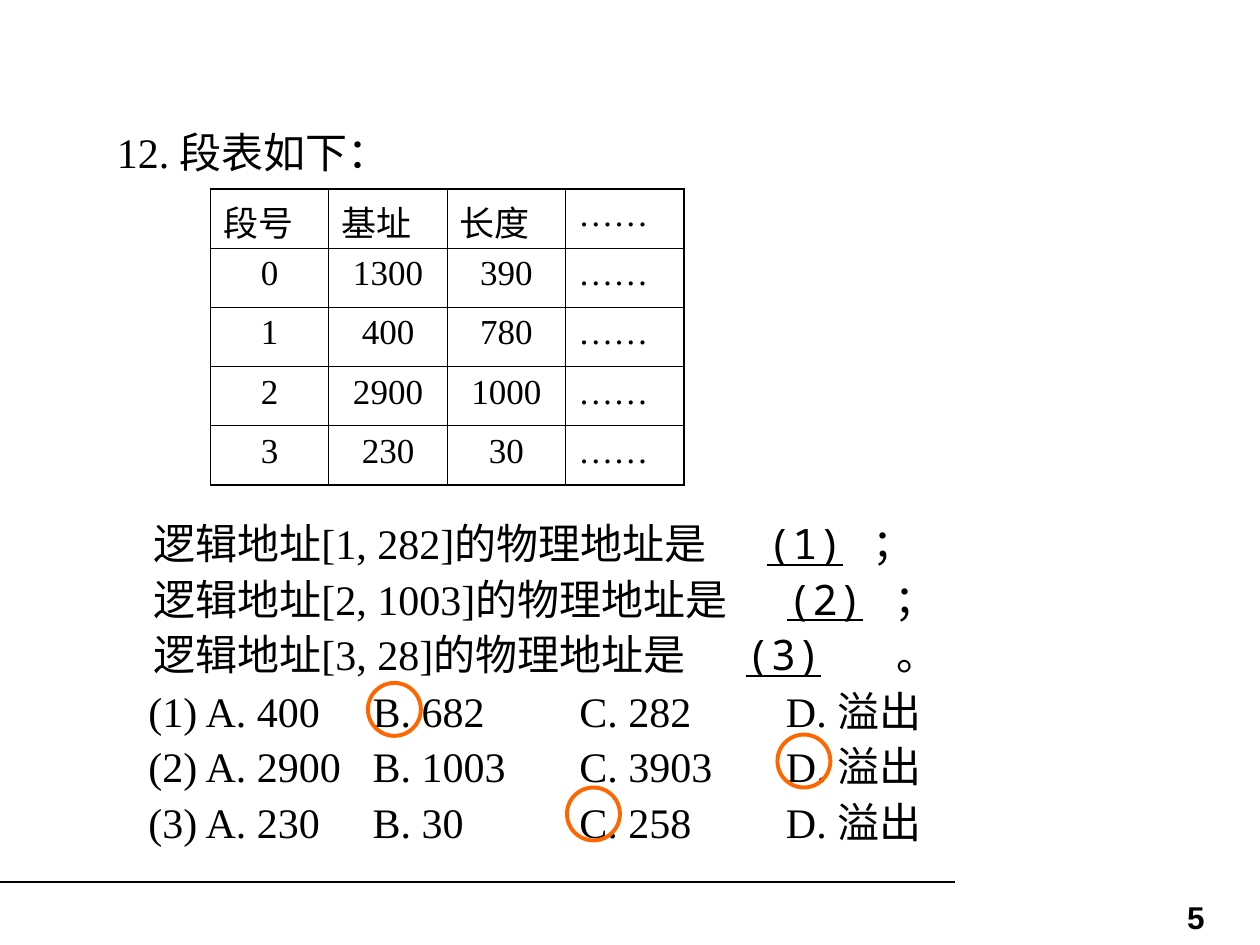
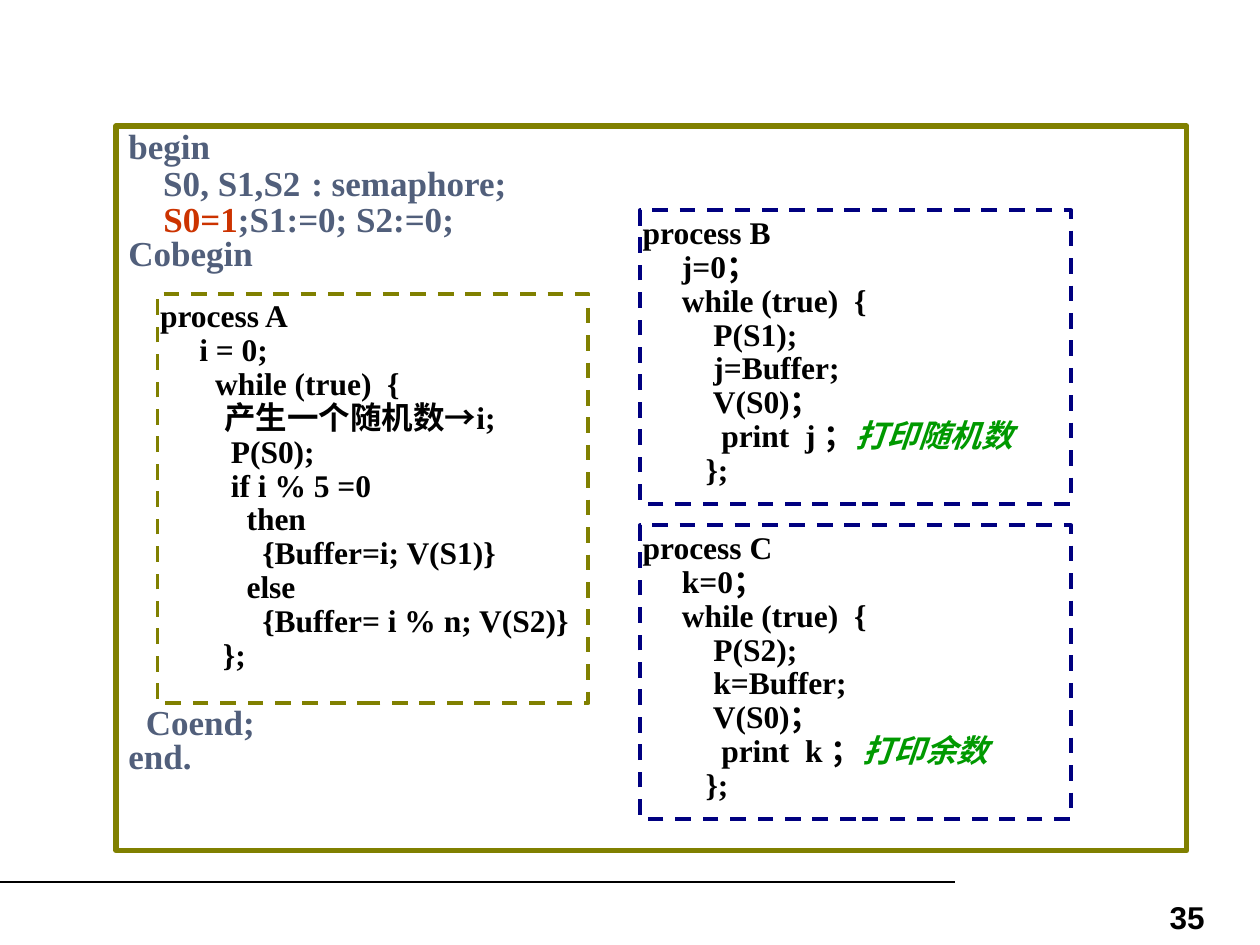
from lxml.etree import SubElement
from pptx import Presentation
from pptx.dml.color import RGBColor
from pptx.enum.dml import MSO_LINE
from pptx.enum.shapes import MSO_CONNECTOR, MSO_SHAPE
from pptx.enum.text import MSO_ANCHOR, PP_ALIGN
from pptx.oxml.ns import qn
from pptx.util import Inches, Pt


class Theme:
    black, slate, red = "000000", "515F7B", "CC3300"
    green, olive, navy, orange = "009900", "808000", "000080", "FF6600"
    serif, mono, sans = "Times New Roman", "Noto Sans Mono", "Arial"
    quiz = dict(name=serif, size=24, color=black)
    cell = dict(name=serif, size=20, color=black)
    frame = dict(name=serif, size=20, color=slate, bold=True)
    code = dict(name=serif, size=18, color=black, bold=True)
    page = dict(name=sans, size=18, color=black, bold=True)
    thin, thick = 0.45, 1.08


# Segment table slide
HEAD = "12. 段表如下："
DOTS = "……"
SEGS = [
    ("段号", "基址", "长度", DOTS),
    ("0", "1300", "390", DOTS),
    ("1", "400", "780", DOTS),
    ("2", "2900", "1000", DOTS),
    ("3", "230", "30", DOTS),
]
# address, blank number, closing mark, tab stops of the blank
ASKS = [
    ("[1, 282]", "(1)", "；", (4.87, 5.71)),
    ("[2, 1003]", "(2)", "；", (5.03, 5.88)),
    ("[3, 28]", "(3)", "。", (4.7, 5.9)),
]
PICKS = [
    ("(1) A. 400", "B. 682", "C. 282", "D. 溢出"),
    ("(2) A. 2900", "B. 1003", "C. 3903", "D. 溢出"),
    ("(3) A. 230", "B. 30", "C. 258", "D. 溢出"),
]
PICK_TABS = (1.78, 3.42, 5.06)
RINGS = [(2.92, 5.42), (6.17, 5.83), (4.5, 6.25)]

# Semaphore slide
OPEN = [
    ["begin"],
    ["    S0, S1,S2", (" ", dict(size=24, bold=False)), ": semaphore;"],
    ["    ", ("S0=1", dict(color=Theme.red)), ";S1:=0; S2:=0;"],
    ["Cobegin"],
    ["  Coend;"],
    ["end."],
]
OPEN_GAPS = (0, 3, 0, 0, 249, 0)
MAKER = [
    ["process A"],
    ["     i = 0;"],
    ["       while (true)  {"],
    ["         产生一个随机数→i;"],
    ["         P(S0);"],
    ["         if i % 5 =0"],
    ["           then"],
    ["             {Buffer=i; V(S1)}"],
    ["           else"],
    ["             {Buffer= i % n; V(S2)}"],
    ["        };"],
]
# process, variable, semaphore, remark, top
USERS = [
    ("B", "j", "S1", "打印随机数", 1.67),
    ("C", "k", "S2", "打印余数", 4.17),
]


def user(name, var, sem, note):
    """Code lines of a process that reads the buffer."""
    return [
        [f"process {name}"],
        [f"     {var}=0；"],
        ["     while (true)  {"],
        [f"         P({sem});"],
        [f"         {var}=Buffer;"],
        ["         V(S0)；"],
        [f"          print  {var} ；", (note, dict(color=Theme.green, italic=True))],
        ["        };"],
    ]


def style(font, fmt):
    for key, val in fmt.items():
        if key == "color":
            font.color.rgb = RGBColor.from_string(val)
        else:
            setattr(font, key, Pt(val) if key == "size" else val)


def stops(para, tabs):
    box = SubElement(para._p.get_or_add_pPr(), qn("a:tabLst"))
    for pos in tabs:
        SubElement(box, qn("a:tab"), pos=str(Inches(pos)), algn="l")


def write(frame, lines, fmt, lead=None, gaps=None, tabs=None, align=PP_ALIGN.LEFT):
    """Fill a frame; a line is a list of strings or (string, format) pairs."""
    for i, line in enumerate(lines):
        para = frame.paragraphs[0] if i == 0 else frame.add_paragraph()
        para.alignment = align
        if lead:
            para.line_spacing = Pt(lead)
        if gaps and gaps[i]:
            para.space_before = Pt(gaps[i])
        if tabs:
            stops(para, tabs[i])
        for part in line:
            text, more = (part, {}) if isinstance(part, str) else part
            run = para.add_run()
            run.text = text
            style(run.font, {**fmt, **more})


def ready(frame, side=0.1):
    props = dict(
        word_wrap=True,
        vertical_anchor=MSO_ANCHOR.TOP,
        margin_left=Inches(side),
        margin_right=Inches(side),
        margin_top=Inches(0.05),
        margin_bottom=Inches(0.05),
    )
    for key, val in props.items():
        setattr(frame, key, val)
    return frame


def label(slide, at, lines, fmt, **how):
    box = slide.shapes.add_textbox(*map(Inches, at))
    write(ready(box.text_frame), lines, fmt, **how)


def shape(slide, kind, at, color, width, dash=None):
    item = slide.shapes.add_shape(kind, *map(Inches, at))
    item.shadow.inherit = False
    item.fill.background()
    item.line.color.rgb = RGBColor.from_string(color)
    item.line.width = Pt(width)
    if dash:
        item.line.dash_style = dash
    return item


def panel(slide, at, color, lines):
    box = shape(slide, MSO_SHAPE.RECTANGLE, at, color, 2.25, MSO_LINE.DASH)
    write(ready(box.text_frame, 0.02), lines, Theme.code, lead=19.4)


def border(cell, sides):
    props = cell._tc.get_or_add_tcPr()
    for i, (side, width) in enumerate(sides.items()):
        line = SubElement(props, qn(f"a:ln{side}"), w=str(Pt(width)))
        fill = SubElement(line, qn("a:solidFill"))
        SubElement(fill, qn("a:srgbClr"), val=Theme.black)
        props.insert(i, line)


def grid(slide, rows, left, top, wide, high):
    tall, span = len(rows), len(rows[0])
    size = (left, top, wide * span, high * tall)
    table = slide.shapes.add_table(tall, span, *map(Inches, size)).table
    table.first_row = table.horz_banding = False
    for row in table.rows:
        row.height = Inches(high)
    for col in table.columns:
        col.width = Inches(wide)
    for r, row in enumerate(rows):
        for c, text in enumerate(row):
            cell = table.cell(r, c)
            cell.fill.background()
            edges = dict(L=c == 0, R=c == span - 1, T=r == 0, B=r == tall - 1)
            border(cell, {k: Theme.thick if v else Theme.thin for k, v in edges.items()})
            align = PP_ALIGN.CENTER if text.isdigit() else PP_ALIGN.LEFT
            write(cell.text_frame, [[text]], Theme.cell, align=align)


def start(deck, page):
    """Add a slide with its footer line and page number."""
    slide = deck.slides.add_slide(deck.slide_layouts[6])
    ends = map(Inches, (0, 7, 7.58, 7))
    rule = slide.shapes.add_connector(MSO_CONNECTOR.STRAIGHT, *ends)
    rule.line.color.rgb = RGBColor.from_string(Theme.black)
    rule.line.width = Pt(0.75)
    SubElement(rule._element.spPr, qn("a:effectLst"))
    label(slide, (7.33, 7.08, 2.33, 0.27), [[page]], Theme.page, align=PP_ALIGN.RIGHT)
    return slide


def segments(deck):
    slide = start(deck, "5")
    flow = dict(lead=25.8, gaps=(0, 6, 6))
    label(slide, (0.83, 1, 8.42, 0.46), [[HEAD]], Theme.quiz, lead=25.8)
    grid(slide, SEGS, 1.67, 1.5, 0.94, 0.47)
    line = dict(underline=True)
    asks = [
        [f"逻辑地址{addr}的物理地址是", ("\t", line),
         (num, dict(name=Theme.mono, underline=True)), ("\t", line), end]
        for addr, num, end, _ in ASKS
    ]
    label(slide, (1.12, 4.1, 8, 1.33), asks, Theme.quiz,
          tabs=[ask[-1] for ask in ASKS], **flow)
    picks = [["\t".join(row)] for row in PICKS]
    label(slide, (1.08, 5.43, 8, 1.33), picks, Theme.quiz,
          tabs=[PICK_TABS] * len(picks), **flow)
    for left, top in RINGS:
        shape(slide, MSO_SHAPE.OVAL, (left, top, 0.42, 0.42), Theme.orange, 2.25)


def semaphores(deck):
    slide = start(deck, "35")
    main = shape(slide, MSO_SHAPE.RECTANGLE, (0.92, 1, 8.5, 5.75), Theme.olive, 3)
    write(ready(main.text_frame), OPEN, Theme.frame, lead=19.4, gaps=OPEN_GAPS)
    panel(slide, (1.25, 2.33, 3.42, 3.25), Theme.olive, MAKER)
    for *facts, top in USERS:
        panel(slide, (5.08, top, 3.42, 2.33), Theme.navy, user(*facts))


def main():
    deck = Presentation()
    deck.slide_width, deck.slide_height = Inches(10), Inches(7.5)
    segments(deck)
    semaphores(deck)
    deck.save("out.pptx")


if __name__ == "__main__":
    main()
